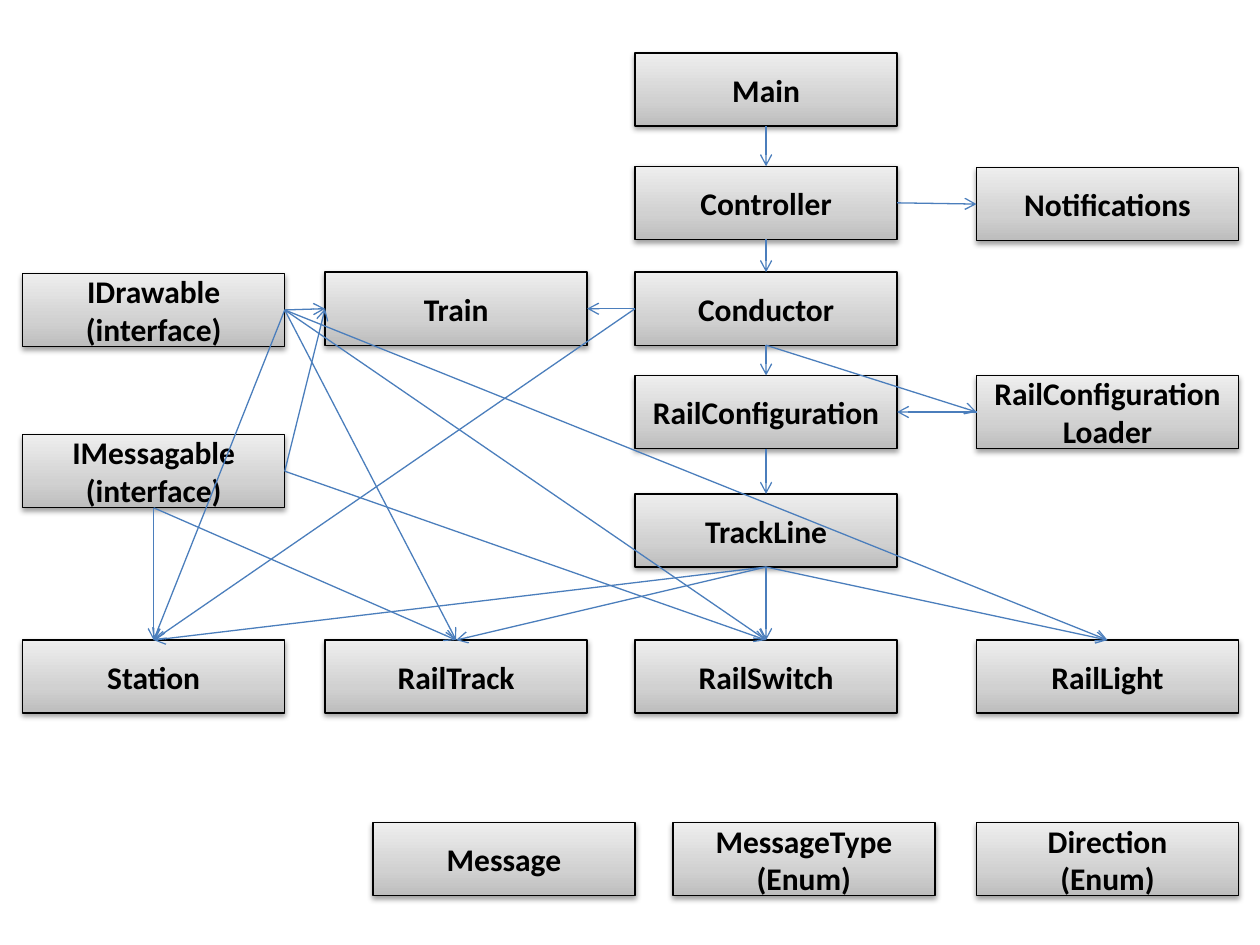
"""Build a class diagram of a railway simulation."""
from copy import deepcopy
from dataclasses import dataclass

from lxml import etree
from pptx import Presentation
from pptx import util as u
from pptx.dml.color import RGBColor
from pptx.enum import shapes, text
from pptx.oxml import ns


@dataclass(frozen=True)
class Theme:
    """Colours, type and line sizes of the diagram."""
    gradient: tuple = ((0, "BDBDBD"), (0.35, "D1D1D1"), (1, "EEEEEE"))
    ink: str = "000000"
    glyph_edge: str = "054697"
    arrow: str = "4B7EBC"
    font: str = "Calibri"
    size: float = 18
    line: float = 0.75


def add_node(parent, tag, **attributes):
    """Append a drawing element with the given attributes."""
    return etree.SubElement(parent, ns.qn(tag), attributes)


class Diagram:
    """Draw class boxes and arrows on one page."""
    WIDTH, HEIGHT = 2.08, 0.58
    SITES = {"top": 0, "left": 1, "bottom": 2, "right": 3}

    def __init__(self, page, theme):
        """Keep the page and its style."""
        self.page, self.theme, self.boxes = page, theme, {}

    def style_line(self, line, colour):
        """Give a line its colour and weight."""
        line.color.rgb = RGBColor.from_string(colour)
        line.width = u.Pt(self.theme.line)

    def fill_box(self, box):
        """Apply the vertical gradient and the soft shadow."""
        box.fill.gradient()
        box.fill.gradient_angle = 90
        first = box._element.spPr.find(".//" + ns.qn("a:gs"))
        first.addnext(deepcopy(first))
        for stop, (position, colour) in zip(box.fill.gradient_stops, self.theme.gradient):
            stop.position = position
            stop.color.rgb = RGBColor.from_string(colour)
        box.shadow.inherit = False
        effects = box._element.spPr.find(ns.qn("a:effectLst"))
        shadow = add_node(effects, "a:outerShdw", blurRad="40000", dist="20000",
                          dir="5400000", rotWithShape="0")
        colour = add_node(shadow, "a:srgbClr", val=self.theme.ink)
        add_node(colour, "a:alpha", val="38000")

    def style_span(self, span):
        """Set bold black type with a fine coloured edge."""
        span.font.name, span.font.size = self.theme.font, u.Pt(self.theme.size)
        span.font.bold = True
        span.font.color.rgb = RGBColor.from_string(self.theme.ink)
        edge = etree.Element(ns.qn("a:ln"), w=str(u.Pt(1)))
        fill = add_node(edge, "a:solidFill")
        add_node(fill, "a:srgbClr", val=self.theme.glyph_edge)
        span.font._element.insert(0, edge)

    def add_box(self, name, left, top, kind=None):
        """Add a class box, with its kind on a second line."""
        box = self.page.shapes.add_shape(
            shapes.MSO_SHAPE.RECTANGLE, u.Inches(left), u.Inches(top),
            u.Inches(self.WIDTH), u.Inches(self.HEIGHT))
        self.style_line(box.line, self.theme.ink)
        self.fill_box(box)
        frame = box.text_frame
        frame.word_wrap = True
        frame.vertical_anchor = text.MSO_ANCHOR.MIDDLE
        frame.text = f"{name}\n({kind})" if kind else name
        for para in frame.paragraphs:
            para.alignment = text.PP_ALIGN.CENTER
            for span in para.runs:
                self.style_span(span)
        self.boxes[name] = box

    def add_arrow(self, source, source_side, target, target_side):
        """Join two boxes with an open arrowhead at the target."""
        arrow = self.page.shapes.add_connector(shapes.MSO_CONNECTOR.STRAIGHT, 0, 0, 0, 0)
        arrow.begin_connect(self.boxes[source], self.SITES[source_side])
        arrow.end_connect(self.boxes[target], self.SITES[target_side])
        self.style_line(arrow.line, self.theme.arrow)
        add_node(arrow.line._get_or_add_ln(), "a:tailEnd", type="arrow")
        add_node(arrow._element.spPr, "a:effectLst")


INTERFACES, TRAINS, CORE, HELPERS = 0.18, 2.58, 5.04, 7.75
TRACK_ROW, DATA_ROW = 5.08, 6.53

BOXES = [
    ("Main", CORE, 0.42),
    ("Controller", CORE, 1.32),
    ("Conductor", CORE, 2.16),
    ("RailConfiguration", CORE, 2.98),
    ("TrackLine", CORE, 3.92),
    ("Notifications", HELPERS, 1.33),
    ("RailConfigurationLoader", HELPERS, 2.98),
    ("Train", TRAINS, 2.16),
    ("IDrawable", INTERFACES, 2.17, "interface"),
    ("IMessagable", INTERFACES, 3.45, "interface"),
    ("Station", INTERFACES, TRACK_ROW),
    ("RailTrack", TRAINS, TRACK_ROW),
    ("RailSwitch", CORE, TRACK_ROW),
    ("RailLight", HELPERS, TRACK_ROW),
    ("Message", 2.96, DATA_ROW),
    ("MessageType", 5.34, DATA_ROW, "Enum"),
    ("Direction", HELPERS, DATA_ROW, "Enum"),
]

ARROWS = [
    ("Main", "bottom", "top", ["Controller"]),
    ("Controller", "right", "left", ["Notifications"]),
    ("Controller", "bottom", "top", ["Conductor"]),
    ("Conductor", "bottom", "top", ["RailConfiguration"]),
    ("Conductor", "bottom", "left", ["RailConfigurationLoader"]),
    ("RailConfigurationLoader", "left", "right", ["RailConfiguration"]),
    ("RailConfiguration", "bottom", "top", ["TrackLine"]),
    ("TrackLine", "bottom", "top", ["RailLight", "RailSwitch", "RailTrack", "Station"]),
    ("Conductor", "left", "right", ["Train"]),
    ("Conductor", "left", "top", ["Station"]),
    ("IDrawable", "right", "left", ["Train"]),
    ("IDrawable", "right", "top", ["Station", "RailTrack", "RailSwitch", "RailLight"]),
    ("IMessagable", "right", "top", ["RailSwitch"]),
    ("IMessagable", "right", "left", ["Train"]),
    ("IMessagable", "bottom", "top", ["RailTrack", "Station"]),
]

deck = Presentation()
deck.slide_width, deck.slide_height = u.Inches(10), u.Inches(7.5)
diagram = Diagram(deck.slides.add_slide(deck.slide_layouts[6]), Theme())
for entry in BOXES:
    diagram.add_box(*entry)
for source, source_side, target_side, targets in ARROWS:
    for target in targets:
        diagram.add_arrow(source, source_side, target, target_side)
deck.save("out.pptx")
